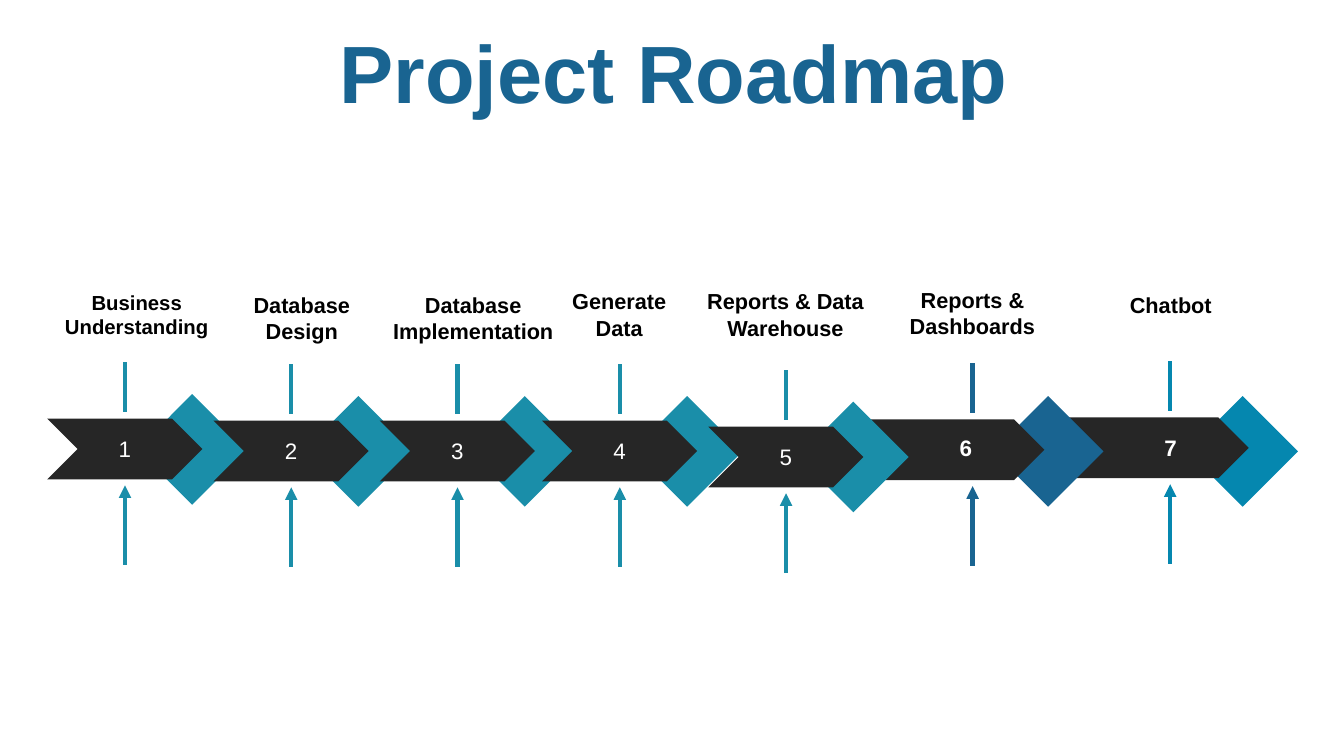
from dataclasses import dataclass

from lxml import etree
from pptx import Presentation
from pptx.dml.color import RGBColor
from pptx.enum.shapes import MSO_CONNECTOR, MSO_SHAPE
from pptx.enum.text import MSO_ANCHOR, MSO_AUTO_SIZE, PP_ALIGN
from pptx.oxml.ns import qn
from pptx.util import Cm, Pt

CHEVRON, DIAMOND = MSO_SHAPE.CHEVRON, MSO_SHAPE.DIAMOND
STRAIGHT = MSO_CONNECTOR.STRAIGHT
LEFT, CENTER = PP_ALIGN.LEFT, PP_ALIGN.CENTER
MIDDLE = MSO_ANCHOR.MIDDLE
FIT_SHAPE, NO_FIT = MSO_AUTO_SIZE.SHAPE_TO_FIT_TEXT, MSO_AUTO_SIZE.NONE


@dataclass(frozen=True)
class Theme:
    font: str = "Arial"
    blue: str = "196491"
    teal: str = "1A8EA9"
    cyan: str = "0587AF"
    band: str = "262626"
    number: str = "FFFFFF"
    label: str = "000000"
    title_size: float = 58
    label_size: float = 15.5
    small_label_size: float = 14.5
    number_size: float = 16
    line_width: float = 3


THEME = Theme()


@dataclass(frozen=True)
class Step:
    """A roadmap step in cm; the dx offsets are measured from its axis."""
    number: int
    label: str
    axis: float
    top: float
    diamond_top: float
    label_box: tuple
    label_size: float = THEME.label_size
    color: str = THEME.teal
    band_dx: float = -1.96
    band_width: float = 3.91
    diamond_dx: float = 0.3
    number_dx: float = -0.41
    number_dy: float = 1.71
    bold: bool = False


# Listed from back to front
STEPS = [
    Step(7, "Chatbot", 29.49, 9.1, 9.98, (27.23, 7.24, 4.55, 0.91),
         color=THEME.cyan, band_dx=-2.57, band_width=4.55, diamond_dx=0.43,
         number_dx=-0.91, bold=True),
    Step(6, "Reports & Dashboards", 24.51, 9.15, 9.98, (22.23, 7.11, 4.55, 1.57),
         color=THEME.blue, band_dx=-2.74, band_width=4.55, diamond_dx=0.51,
         number_dx=-1.09, number_dy=1.67, bold=True),
    Step(1, "Business Understanding", 3.15, 9.13, 9.93, (1.17, 7.19, 4.55, 1.5),
         label_size=THEME.small_label_size),
    Step(2, "Database\nDesign", 7.34, 9.18, 9.98, (5.33, 7.24, 4.55, 1.57)),
    Step(3, "Database Implementation", 11.53, 9.18, 9.98, (9.55, 7.24, 4.75, 1.57)),
    Step(4, "Generate\nData", 15.62, 9.18, 9.98, (13.23, 7.14, 4.75, 1.57)),
    Step(5, "Reports & Data\nWarehouse", 19.81, 9.33, 10.12, (17.42, 7.14, 4.75, 1.57)),
]


def format_text(tf, size, color, bold, align):
    for p in tf.paragraphs:
        p.alignment = align
        for r in p.runs:
            r.font.name = THEME.font
            r.font.size = Pt(size)
            r.font.bold = bold
            r.font.color.rgb = RGBColor.from_string(color)


def add_title(s, text):
    sp = s.shapes.title
    sp.left, sp.top, sp.width, sp.height = Cm(0.89), Cm(0.94), Cm(32.16), Cm(2.01)
    tf = sp.text_frame
    tf.text = text
    tf.auto_size = NO_FIT
    tf.vertical_anchor = MIDDLE
    tf.paragraphs[0].line_spacing = 0.9
    format_text(tf, THEME.title_size, THEME.blue, True, CENTER)


def add_text(s, text, box, size, color, bold, align, auto_size):
    tf = s.shapes.add_textbox(*map(Cm, box)).text_frame
    tf.text = text
    tf.word_wrap = True
    tf.auto_size = auto_size
    format_text(tf, size, color, bold, align)


def add_block(s, kind, box, color):
    sp = s.shapes.add_shape(kind, *map(Cm, box))
    sp.shadow.inherit = False
    sp.fill.solid()
    sp.fill.fore_color.rgb = RGBColor.from_string(color)
    sp.line.fill.background()


def add_vertical_line(s, x, top, length, color, arrow=False):
    """Draw a line downwards; an arrow has its head at the top."""
    line = s.shapes.add_connector(STRAIGHT, Cm(x), Cm(top), Cm(x), Cm(top + length))
    line.line.width = Pt(THEME.line_width)
    line.line.color.rgb = RGBColor.from_string(color)
    if arrow:
        ln = line.line._get_or_add_ln()
        etree.SubElement(ln, qn("a:headEnd"), type="triangle")
    etree.SubElement(line._element.spPr, qn("a:effectLst"))


def add_step(s, step):
    x, top = step.axis, step.top
    add_block(s, DIAMOND, (x + step.diamond_dx, step.diamond_top, 2.79, 2.79), step.color)
    add_block(s, CHEVRON, (x + step.band_dx, top + 1.42, step.band_width, 1.53), THEME.band)
    add_vertical_line(s, x, top, 1.26, step.color)
    add_vertical_line(s, x, top + 3.1, 2, step.color, arrow=True)
    add_text(s, str(step.number), (x + step.number_dx, top + step.number_dy, 1.84, 0.94),
             THEME.number_size, THEME.number, step.bold,
             CENTER if step.bold else LEFT, NO_FIT)
    add_text(s, step.label, step.label_box, step.label_size, THEME.label, True,
             CENTER, FIT_SHAPE)


def main():
    prs = Presentation()
    prs.slide_width, prs.slide_height = Cm(33.87), Cm(19.05)
    s = prs.slides.add_slide(prs.slide_layouts[5])
    add_title(s, "Project Roadmap")
    for step in STEPS:
        add_step(s, step)
    prs.save("out.pptx")


if __name__ == "__main__":
    main()
